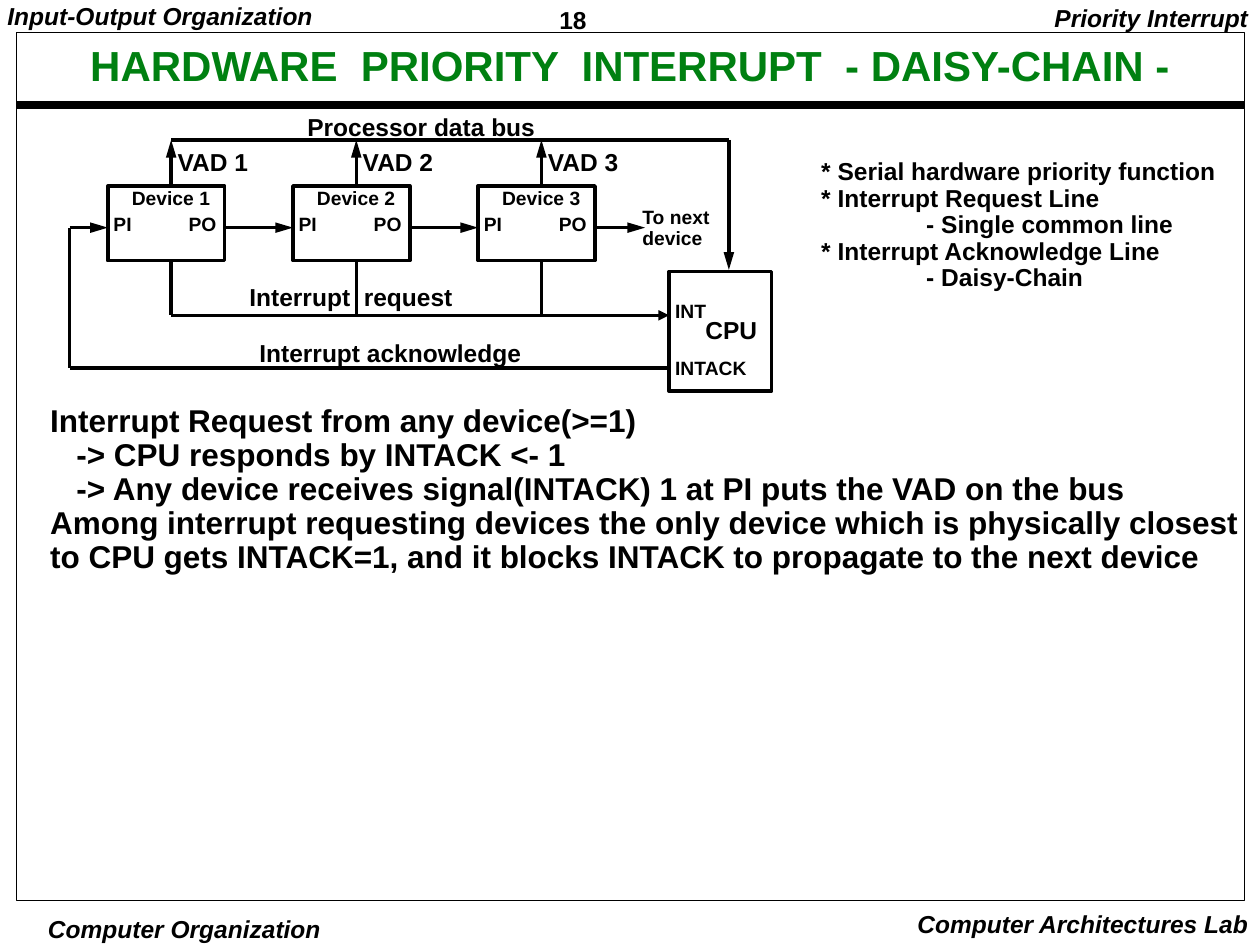
"""Build the slide on daisy-chain hardware priority interrupts."""
from lxml.etree import SubElement
from pptx import Presentation
from pptx.dml.color import RGBColor
from pptx.enum.shapes import MSO_CONNECTOR as Link, MSO_SHAPE as Shape
from pptx.enum.text import MSO_ANCHOR as Anchor, MSO_AUTO_SIZE as Fit, PP_ALIGN as Align
from pptx.oxml.ns import qn
from pptx.util import Pt

BLACK = RGBColor(0x00, 0x00, 0x00)
GREEN = RGBColor(0x00, 0x80, 0x11)
WIDE, TIGHT, SLIM = (7.2, 3.6), (5, 2.5), (2.2, 1)

TITLE = "HARDWARE  PRIORITY  INTERRUPT  - DAISY-CHAIN -"
MARGIN_TEXTS = [
    ("18", (314.6, 0, 77.8, 21), TIGHT, Align.LEFT, 1.01, False),
    ("Input-Output Organization", (-0.7, 0, 188, 19.4), TIGHT, Align.LEFT, 0.9, True),
    ("Priority Interrupt", (592.4, 0, 128, 22.3), WIDE, Align.RIGHT, 0.9, True),
    ("Computer Organization", (22.4, 521.3, 166, 18.7), SLIM, Align.CENTER, 1, True),
    ("Computer Architectures Lab", (514, 516.2, 206.4, 23.8), WIDE, Align.RIGHT, 1, True),
]
EXPLANATION = [
    ("Interrupt Request from any device(>=1)", 0),
    ("-> CPU responds by INTACK <- 1", 15),
    ("-> Any device receives signal(INTACK) 1 at PI puts the VAD on the bus", 15),
    ("Among interrupt requesting devices the only device which is physically closest", 0),
    ("to CPU gets INTACK=1, and it blocks INTACK to propagate to the next device", 0),
]
FEATURES = [
    ("* Serial hardware priority function", 0),
    ("* Interrupt Request Line", 0),
    ("- Single common line", 60),
    ("* Interrupt Acknowledge Line", 0),
    ("- Daisy-Chain", 60),
]
LABELS = [
    ("INT", (378.7, 169.2, 35, 18.7), 11),
    ("INTACK", (378.7, 201.6, 59, 18.7), 11),
    ("CPU", (396, 178.6, 47, 22.3), 14),
    ("To next", (360, 115.2, 56, 18.7), 11),
    ("device", (360, 127.4, 52, 18.7), 11),
    ("Interrupt  request", (135.4, 159.3, 135, 22.3), 14),
    ("Interrupt acknowledge", (141.1, 191.5, 168, 22.3), 14),
    ("Processor data bus", (168.5, 62.6, 148, 22.3), 14),
]
DEVICES = ["1", "2", "3"]

PITCH = 105.8
DEVICE_LEFT, DEVICE_TOP, DEVICE_W, DEVICE_H = 61.6, 106.3, 66.8, 42.7
STEM_X, BUS_Y, CHAIN_Y = 97.8, 80, 130.1
REQUEST_Y, ACK_Y, ACK_X = 180.2, 210.2, 39.8
CPU = (382.3, 155.2, 58.6, 68.4)
CPU_DROP_X, NEXT_DEVICE_X = 416.5, 368.6

deck = Presentation()
deck.slide_width, deck.slide_height = Pt(720), Pt(540)
slide = deck.slides.add_slide(deck.slide_layouts[5])


def points(values):
    return [Pt(value) for value in values]


def fill_text(frame, lines, size, insets=WIDE, align=Align.LEFT, spacing=0.9,
              italic=False, color=BLACK):
    across, down = points(insets)
    layout = {"margin_left": across, "margin_right": across,
              "margin_top": down, "margin_bottom": down}
    for name, value in layout.items():
        setattr(frame, name, value)
    font = {"name": "Arial", "size": Pt(size), "bold": True, "italic": italic}
    for number, (words, indent) in enumerate(lines):
        line = frame.add_paragraph() if number else frame.paragraphs[0]
        line.alignment, line.line_spacing = align, spacing
        line.space_before = line.space_after = Pt(0)
        if indent:
            line._p.get_or_add_pPr().set("marL", str(Pt(indent)))
        run = line.add_run()
        run.text = words
        for name, value in font.items():
            setattr(run.font, name, value)
        run.font.color.rgb = color


def add_text(lines, place, size, **style):
    frame = slide.shapes.add_textbox(*points(place)).text_frame
    frame.word_wrap = False
    frame.auto_size = Fit.NONE
    fill_text(frame, lines, size, **style)


def add_box(place, width=2):
    box = slide.shapes.add_shape(Shape.RECTANGLE, *points(place))
    box.shadow.inherit = False
    box.fill.background()
    box.line.color.rgb = BLACK
    box.line.width = Pt(width)


def add_wire(start, end, width=2, head=None):
    wire = slide.shapes.add_connector(Link.STRAIGHT, *points(start + end))
    wire.line.color.rgb = BLACK
    wire.line.width = Pt(width)
    if head:
        SubElement(wire.line._get_or_add_ln(), qn("a:tailEnd"),
                   type="triangle", w="med", len=head)
    SubElement(wire._element.spPr, qn("a:effectLst"))


title = slide.shapes.title
title.left, title.top, title.width, title.height = points((0, 13.7, 720, 50.4))
title.text_frame.vertical_anchor = Anchor.MIDDLE
title.text_frame.auto_size = Fit.NONE
fill_text(title.text_frame, [(TITLE, 0)], 24, insets=TIGHT, align=Align.CENTER, color=GREEN)

add_wire((9.4, 59.8), (710.6, 59.8), width=4.5)
add_box((9.2, 18.7, 702, 496.1), width=0.5)
for words, place, insets, align, spacing, italic in MARGIN_TEXTS:
    add_text([(words, 0)], place, 14, insets=insets, align=align,
             spacing=spacing, italic=italic)

for position, device in enumerate(DEVICES):
    shift = position * PITCH
    left, stem = DEVICE_LEFT + shift, STEM_X + shift
    right = left + DEVICE_W
    last = position == len(DEVICES) - 1
    add_box((left, DEVICE_TOP, DEVICE_W, DEVICE_H))
    add_text([(f"Device {device}", 0)], (68.2 + shift, 104.4, 62, 18.7), 11)
    add_text([("PI", 0)], (57.8 + shift, 119.5, 28, 18.7), 11)
    add_text([("PO", 0)], (100.7 + shift, 119.5, 33, 18.7), 11)
    add_text([(f"VAD {device}", 0)], (94.4 + shift, 82.2, 58, 22.3), 14)
    add_wire((stem, DEVICE_TOP), (stem, BUS_Y), head="lg")
    add_wire((stem, DEVICE_TOP + DEVICE_H), (stem, REQUEST_Y))
    add_wire((right, CHAIN_Y), (NEXT_DEVICE_X if last else left + PITCH, CHAIN_Y), head="lg")

add_box(CPU)
add_wire((STEM_X, BUS_Y), (CPU_DROP_X, BUS_Y))
add_wire((CPU_DROP_X, BUS_Y), (CPU_DROP_X, CPU[1] - 1), head="lg")
add_wire((STEM_X, REQUEST_Y), (CPU[0], REQUEST_Y), head="med")
add_wire((CPU[0], ACK_Y), (ACK_X, ACK_Y))
add_wire((ACK_X, ACK_Y), (ACK_X, CHAIN_Y))
add_wire((ACK_X, CHAIN_Y), (DEVICE_LEFT, CHAIN_Y), head="lg")

for words, place, size in LABELS:
    add_text([(words, 0)], place, size)
add_text(FEATURES, (462.2, 87.8, 243, 97.9), 14)
add_text(EXPLANATION, (21.6, 228.2, 698.4, 104.4), 18)

deck.save("out.pptx")
